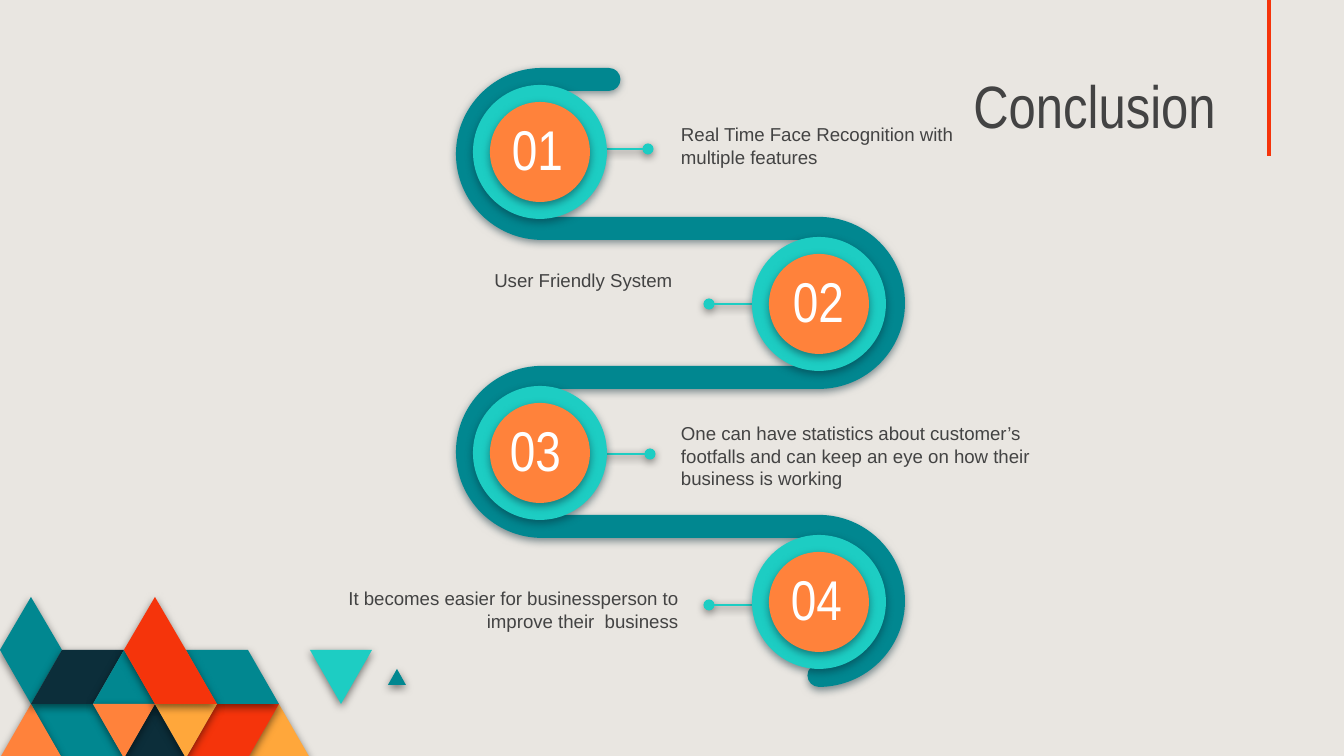
from math import cos, radians, sin

from lxml.etree import SubElement
from pptx import Presentation
from pptx.dml.color import RGBColor
from pptx.enum.shapes import MSO_CONNECTOR, MSO_SHAPE
from pptx.enum.text import MSO_ANCHOR, PP_ALIGN
from pptx.oxml.ns import qn
from pptx.util import Pt

SCALE = 914400 / 134.4

SAND = RGBColor(0xE9, 0xE6, 0xE1)
TEAL = RGBColor(0x01, 0x87, 0x90)
AQUA = RGBColor(0x1D, 0xCD, 0xC3)
NAVY = RGBColor(0x0C, 0x2E, 0x3A)
RED = RGBColor(0xF5, 0x34, 0x0B)
ORANGE = RGBColor(0xFF, 0x82, 0x3B)
AMBER = RGBColor(0xFF, 0xA7, 0x3B)
GREY = RGBColor(0x43, 0x43, 0x43)
WHITE = RGBColor(0xFF, 0xFF, 0xFF)
BLACK = RGBColor(0, 0, 0)

LEFT, RIGHT = PP_ALIGN.LEFT, PP_ALIGN.RIGHT
ROWS = [597, 650, 704, 758]
TILES = [
    (AMBER, [(10, 3), (9, 2), (8, 3)]),
    (RED, [(9, 2), (7, 2), (6, 3), (8, 3)]),
    (TEAL, [(4, 3), (3, 2), (1, 2), (2, 3)]),
    (ORANGE, [(2, 3), (1, 2), (0, 3)]),
    (NAVY, [(6, 3), (5, 2), (4, 3)]),
    (TEAL, [(9, 2), (8, 1), (6, 1), (7, 2)]),
    (AQUA, [(12, 1), (10, 1), (11, 2)]),
    (TEAL, [(2, 1), (1, 0), (0, 1), (1, 2)]),
    (NAVY, [(4, 1), (2, 1), (1, 2), (3, 2)]),
    (TEAL, [(5, 2), (4, 1), (3, 2)]),
    (ORANGE, [(5, 2), (3, 2), (4, 3)]),
    (AMBER, [(7, 2), (5, 2), (6, 3)]),
    (RED, [(7, 2), (6, 1), (5, 0), (4, 1), (5, 2)]),
]
STEPS = [
    (473, 85, 21, 648, 149),
    (752, 237, 23, 709, 304),
    (473, 386, 19, 650, 454),
    (752, 535, 21, 709, 605),
]
NOTES = [
    ("Real Time Face Recognition with multiple features", 668, 110, 301, LEFT, 1),
    ("User Friendly System", 294, 253, 391, RIGHT, 1.15),
    ("One can have statistics about customer’s footfalls and can keep an eye "
     "on how their business is working", 668, 409, 411, LEFT, 1),
    ("It becomes easier for businessperson to improve their  business",
     300, 574, 391, RIGHT, 1),
]


def px(n):
    return round(n * SCALE)


def shade(shape, color):
    props = shape._element.spPr
    for old in props.findall(qn("a:effectLst")):
        props.remove(old)
    glow = SubElement(SubElement(props, qn("a:effectLst")), qn("a:outerShdw"),
                      blurRad="57150", dist="19050", dir="5400000",
                      algn="bl", rotWithShape="0")
    tint = SubElement(glow, qn("a:srgbClr"), val=str(color))
    SubElement(tint, qn("a:alpha"), val="50000")


def paint(shape, color, shadow):
    shape.fill.solid()
    shape.fill.fore_color.rgb = color
    shape.line.fill.background()
    shade(shape, shadow)


def add_free(slide, points, color, shadow=BLACK):
    spots = [(px(x), px(y)) for x, y in points]
    pen = slide.shapes.build_freeform(*spots[0], scale=1.0)
    pen.add_line_segments(spots[1:], close=True)
    shape = pen.convert_to_shape()
    paint(shape, color, shadow)
    return shape


def add_disc(slide, x, y, size, color):
    disc = slide.shapes.add_shape(
        MSO_SHAPE.OVAL, px(x), px(y), px(size), px(size))
    paint(disc, color, NAVY)


def add_line(slide, x1, y1, x2, y2, color, width):
    line = slide.shapes.add_connector(
        MSO_CONNECTOR.STRAIGHT, px(x1), px(y1), px(x2), px(y2))
    line.line.color.rgb = color
    line.line.width = Pt(width)
    SubElement(line._element.spPr, qn("a:effectLst"))
    return line


def add_stem(slide, start, end, y):
    stem = add_line(slide, start, y, end, y, AQUA, 1.5)
    SubElement(stem.line._get_or_add_ln(), qn("a:tailEnd"), type="oval")
    shade(stem, BLACK)


def add_text(slide, text, x, y, w, size, color, align,
             font="Arial Narrow", anchor=MSO_ANCHOR.MIDDLE, space=1):
    box = slide.shapes.add_textbox(px(x), px(y), px(w), px(85))
    frame = box.text_frame
    frame.word_wrap = True
    frame.vertical_anchor = anchor
    frame.margin_left = frame.margin_right = px(13)
    frame.margin_top = frame.margin_bottom = px(13)
    para = frame.paragraphs[0]
    para.text = text
    para.alignment = align
    para.line_spacing = space
    para.font.size = Pt(size)
    para.font.name = font
    para.font.color.rgb = color


def arc(x, y, radius, start, turn):
    def spot(angle, pull=0):
        c, s = cos(radians(angle)), sin(radians(angle))
        return x + radius * (c - pull * s), y + radius * (s + pull * c)

    pull = 0.55 * turn
    points = [spot(start)]
    for a in (start, start + 90 * turn):
        b = a + 90 * turn
        points += [spot(a, pull), spot(b, -pull), spot(b)]
    return points


def bend(shape):
    track = shape._element.spPr.find(".//" + qn("a:path"))
    nodes = track.findall(qn("a:lnTo"))
    for i in range(0, len(nodes), 7):
        for j in (i, i + 3):
            curve = SubElement(track, qn("a:cubicBezTo"))
            nodes[j].addprevious(curve)
            for node in nodes[j:j + 3]:
                curve.append(node[0])
                track.remove(node)


def add_track(slide):
    near, far, top, step = 542, 819, 154, 149
    wide, thin = 86, 63
    there, back = [], []
    for i in range(4):
        y = top + step * i
        if i % 2:
            there += arc(far, y, thin, -90, 1)
            back = arc(far, y, wide, 90, -1) + back
        else:
            there += arc(near, y, wide, -90, -1)
            back = arc(near, y, thin, 90, 1) + back
    mid, cap = (wide + thin) / 2, (wide - thin) / 2
    foot = arc(far, top + 3 * step + mid, cap, -90, -1)
    tip = arc(609, top - mid, cap, 90, -1)
    bend(add_free(slide, there + foot + back + tip, TEAL, NAVY))


def add_tiles(slide):
    for color, spots in TILES:
        add_free(slide, [(31 * col, ROWS[row]) for col, row in spots], color)
    add_free(slide, [(406, 685), (397, 669), (388, 685)], TEAL)


def add_badge(slide, x, y, shift, label):
    add_disc(slide, x, y, 134, AQUA)
    add_disc(slide, x + 17, y + 17, 100, ORANGE)
    add_text(slide, label, x + shift, y + 21, 87, 30, WHITE, PP_ALIGN.CENTER)


def main():
    deck = Presentation()
    deck.slide_width, deck.slide_height = px(1344), px(756)
    slide = deck.slides.add_slide(deck.slide_layouts[6])
    slide.background.fill.solid()
    slide.background.fill.fore_color.rgb = SAND

    add_tiles(slide)
    add_line(slide, 1269, 0, 1269, 156, RED, 2.25)
    add_text(slide, "Conclusion", 673, 69, 556, 32, GREY, RIGHT,
             anchor=MSO_ANCHOR.BOTTOM)
    for x, y, shift, dot, level in STEPS:
        add_stem(slide, dot - 66 if dot > x else dot + 66, dot, level)
    add_track(slide)
    for i, (x, y, shift, dot, level) in enumerate(STEPS, 1):
        add_badge(slide, x, y, shift, f"{i:02}")
    for text, x, y, w, align, space in NOTES:
        add_text(slide, text, x, y, w, 10, GREY, align,
                 "Arial", MSO_ANCHOR.TOP, space)
    deck.save("out.pptx")


if __name__ == "__main__":
    main()
